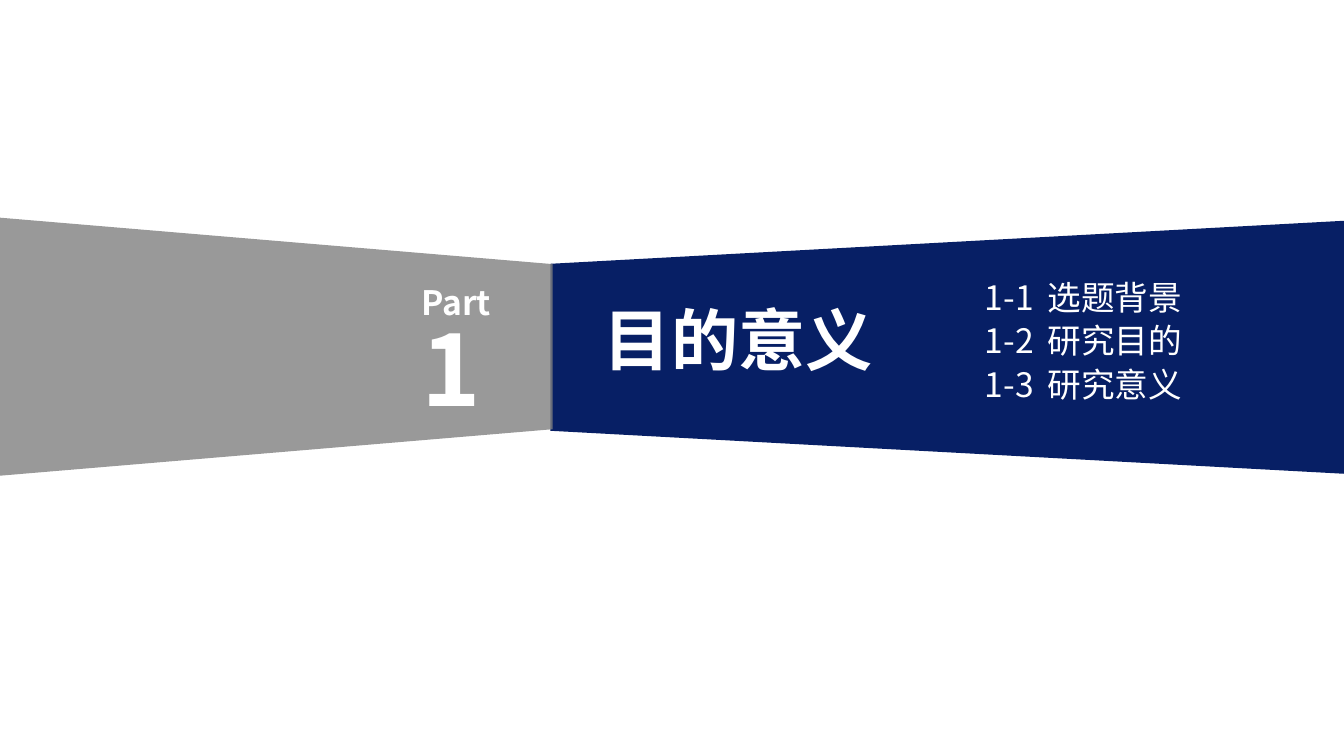
from lxml.etree import SubElement
from pptx import Presentation
from pptx.dml.color import RGBColor
from pptx.enum.shapes import MSO_SHAPE
from pptx.enum.text import MSO_ANCHOR, MSO_AUTO_SIZE, PP_ALIGN
from pptx.oxml.ns import qn
from pptx.util import Emu, Pt

PX = 9144  # 100 px to the inch
FONT = "Noto Sans CJK SC"
NAVY = RGBColor(0x07, 0x1F, 0x65)
GRAY = RGBColor(0x80, 0x80, 0x80)
WHITE = RGBColor(0xFF, 0xFF, 0xFF)


def px(*values):
    return [Emu(v * PX) for v in values]


class SectionSlide:
    def __init__(self, prs):
        self.s = prs.slides.add_slide(prs.slide_layouts[5])

    def panel(self, box, rotation, slant, color, alpha=None):
        sp = self.s.shapes.add_shape(MSO_SHAPE.TRAPEZOID, *px(*box))
        sp.rotation = rotation
        sp.adjustments[0] = slant
        sp.shadow.inherit = False
        sp.fill.solid()
        sp.fill.fore_color.rgb = color
        sp.line.fill.background()
        if alpha:
            clr = sp._element.spPr.find(".//" + qn("a:srgbClr"))
            SubElement(clr, qn("a:alpha"), val=str(alpha * 1000))

    def set_text(self, sp, box, lines, bold=True, wrap=False, spacing=0.9, tab=None):
        """Fill sp with (text, size) lines that share one paragraph."""
        sp.left, sp.top, sp.width, sp.height = px(*box)
        tf = sp.text_frame
        frame = {"word_wrap": wrap, "auto_size": MSO_AUTO_SIZE.SHAPE_TO_FIT_TEXT,
                 "vertical_anchor": MSO_ANCHOR.TOP}
        for name, value in frame.items():
            setattr(tf, name, value)
        p = tf.paragraphs[0]
        p.alignment = PP_ALIGN.LEFT
        p.line_spacing = spacing
        if tab:
            tabs = SubElement(p._p.get_or_add_pPr(), qn("a:tabLst"))
            SubElement(tabs, qn("a:tab"), pos=str(tab * PX), algn="l")
        for i, (text, size) in enumerate(lines):
            if i:
                p.add_line_break()
            r = p.add_run()
            r.text = text
            r.font.color.rgb = WHITE
            for name, value in {"size": Pt(size), "bold": bold, "name": FONT}.items():
                setattr(r.font, name, value)
            SubElement(r._r.get_or_add_rPr(), qn("a:ea"), typeface=FONT)

    def text(self, box, lines, **style):
        self.set_text(self.s.shapes.add_textbox(*px(*box)), box, lines, **style)

    def title(self, box, text, size):
        sp = self.s.shapes.title
        sp._element.getparent().append(sp._element)  # bring in front of the panels
        self.set_text(sp, box, [(text, size)])


def main():
    prs = Presentation()
    prs.slide_width, prs.slide_height = px(1333, 750)
    slide = SectionSlide(prs)

    # Panels that narrow towards the fold
    slide.panel((814, -49, 251, 787), 270, 0.17, NAVY)
    slide.panel((146, 70, 256, 548), 90, 0.18, GRAY, alpha=80)

    # Part number and section title
    slide.text((408, 280, 138, 131), [("Part", 24), ("1", 72)], spacing=0.87)
    slide.title((589, 300, 289, 91), "目的意义", 48)

    # Section contents
    for i, topic in enumerate(["选题背景", "研究目的", "研究意义"]):
        slide.text((967, 274 + 87 * i // 2, 265, 50), [(f"1-{i + 1}\t{topic}", 24)],
                   bold=False, wrap=True, tab=62)

    prs.save("out.pptx")


if __name__ == "__main__":
    main()
